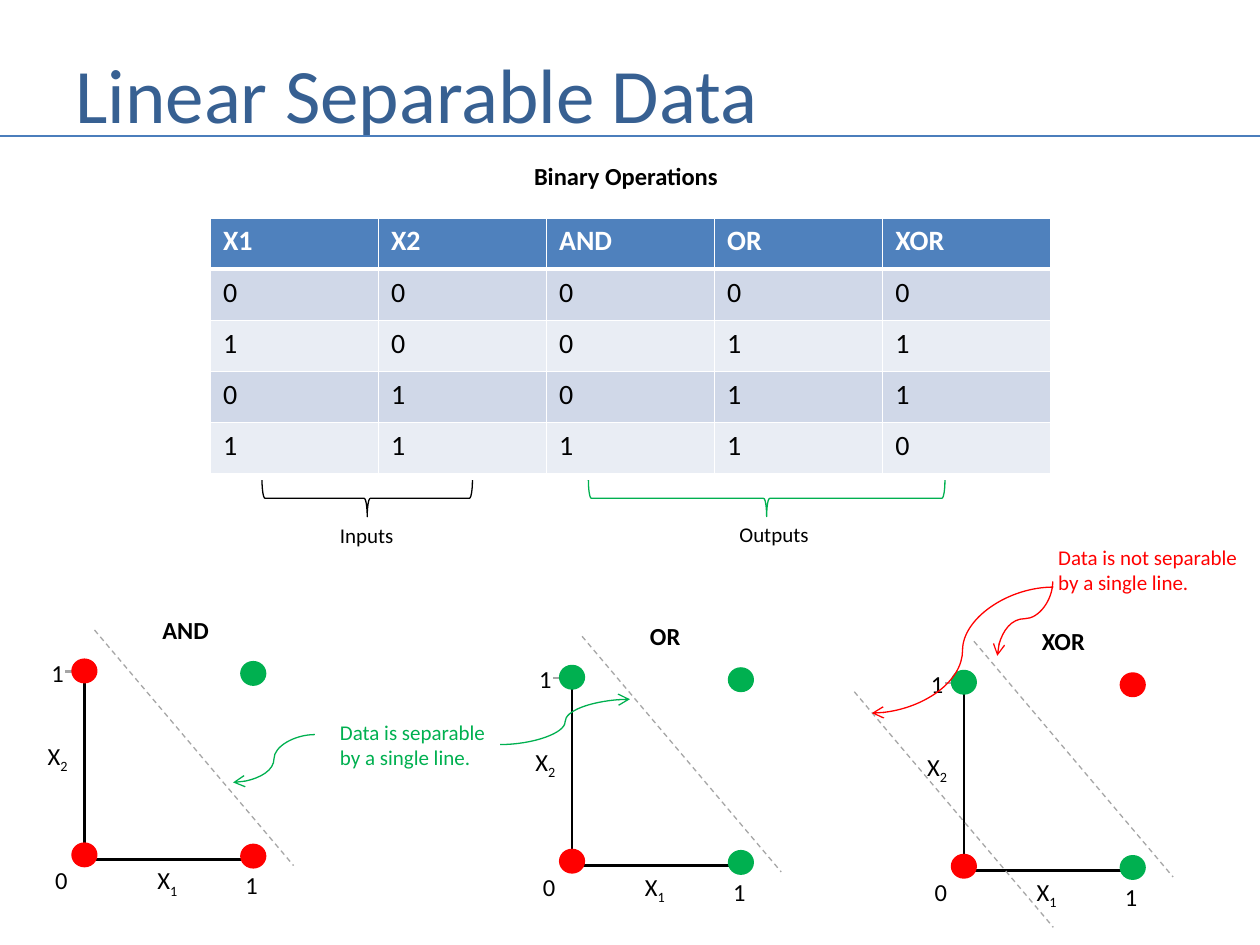
from dataclasses import dataclass

from lxml import etree
from pptx import Presentation
from pptx.dml.color import RGBColor
from pptx.enum.dml import MSO_LINE
from pptx.enum.shapes import MSO_CONNECTOR, MSO_SHAPE
from pptx.enum.text import MSO_ANCHOR, MSO_AUTO_SIZE
from pptx.oxml.ns import qn
from pptx.util import Inches, Pt

LINE, CURVE = MSO_CONNECTOR.STRAIGHT, MSO_CONNECTOR.CURVE
OVAL, BRACE = MSO_SHAPE.OVAL, MSO_SHAPE.LEFT_BRACE
DASH, MIDDLE = MSO_LINE.DASH, MSO_ANCHOR.MIDDLE
FIT = MSO_AUTO_SIZE.SHAPE_TO_FIT_TEXT


@dataclass(frozen=True)
class Theme:
    """Colours, font and type sizes."""
    font: str = "Calibri"
    title: str = "376092"
    rule: str = "4B7EBC"
    head: str = "4F81BD"
    bands: tuple = ("D0D8E8", "E9EDF4")
    black: str = "000000"
    white: str = "FFFFFF"
    gray: str = "A6A6A6"
    green: str = "00B050"
    red: str = "FF0000"
    big: int = 44
    cell: int = 16
    label: int = 14
    note: int = 12


@dataclass(frozen=True)
class Plot:
    """One plot: top of its y axis, and dots by row from top left."""
    name: str
    x: float
    y: float
    width: float
    dots: tuple
    cuts: tuple


@dataclass(frozen=True)
class Arrow:
    """A curved arrow, turned by an angle in degrees."""
    start: tuple
    end: tuple
    color: str
    turn: int = 0


T = Theme()
R, G = T.red, T.green
CUT = (0.08, -0.33, 1.66, 1.54)
LOW = (-0.87, 0.07, 0.71, 1.94)
PLOTS = (
    Plot("AND", 0.67, 5.33, 0.58, (R, G, R, R), (CUT,)),
    Plot("OR", 4.54, 5.38, 0.45, (G, G, R, G), (CUT,)),
    Plot("XOR", 7.65, 5.42, 0.55, (G, R, R, G), (CUT, LOW)),
)
SPOTS = ((-0.09, -0.09), (1.25, -0.07), (-0.09, 1.37), (1.25, 1.38))
MARKS = (
    ("X", "1", 0.48, 1.49, 0.37), ("X", "2", -0.39, 0.5, 0.37),
    ("0", "", -0.33, 1.49, 0.3), ("1", "", 1.18, 1.53, 0.3),
    ("1", "", -0.36, -0.16, 0.3),
)
AXES = ((0, 0, 0, 1.5, T.black), (1.33, 1.49, 0, 1.49, T.black),
        (1.34, 1.37, 1.34, 1.56, T.gray), (0.1, 0, -0.15, 0, T.gray))
ROWS = (("X1", "X2", "AND", "OR", "XOR"), "00000", "10011", "01011", "11110")
ARROWS = (
    Arrow((2.5, 5.83), (1.85, 6.21), G),
    Arrow((3.97, 5.91), (5, 5.55), G),
    Arrow((7.84, 4.69), (8.43, 5.13), R, 90),
    Arrow((8.36, 4.66), (6.92, 5.66), R),
)


def rgb(color: str) -> RGBColor:
    """Turn a hex string into a colour."""
    return RGBColor.from_string(color)


def add_run(para, text: str, size: int, color: str, bold=False, sub=False):
    """Add one styled run to a paragraph."""
    run = para.add_run()
    run.text = text
    font = run.font
    font.name, font.size, font.bold = T.font, Pt(size), bold
    font.color.rgb = rgb(color)
    if sub:
        font._element.set("baseline", "-25000")


def add_text(slide, box: tuple, lines: tuple, size: int, color=T.black,
             bold=False, sub="", wrap=False):
    """Add a text box; sub is a subscript after the last line."""
    frame = slide.shapes.add_textbox(*map(Inches, box)).text_frame
    frame.word_wrap = wrap
    if wrap:
        frame.vertical_anchor = MIDDLE
    else:
        frame.auto_size = FIT
    for i, line in enumerate(lines):
        para = frame.add_paragraph() if i else frame.paragraphs[0]
        add_run(para, line, size, color, bold)
    if sub:
        add_run(para, sub, size, color, bold, True)


def add_line(slide, start: tuple, end: tuple, color: str, width=1.5, kind=LINE):
    """Add a connector without a shadow."""
    line = slide.shapes.add_connector(kind, *map(Inches, start + end))
    line.line.color.rgb = rgb(color)
    line.line.width = Pt(width)
    etree.SubElement(line._element.spPr, qn("a:effectLst"))
    return line


def add_arrow(slide, arrow: Arrow):
    """Add a curved arrow."""
    curve = add_line(slide, arrow.start, arrow.end, arrow.color, 0.75, CURVE)
    tail = etree.SubElement(curve.line._get_or_add_ln(), qn("a:tailEnd"))
    tail.set("type", "arrow")
    if arrow.turn:
        frame = curve._element.spPr.find(qn("a:xfrm"))
        frame.set("rot", str(arrow.turn * 60000))


def add_form(slide, kind, box: tuple, color: str, width: float, solid=False):
    """Add a preset shape, filled or in outline."""
    form = slide.shapes.add_shape(kind, *map(Inches, box))
    form.shadow.inherit = False
    if solid:
        form.fill.solid()
        form.fill.fore_color.rgb = rgb(color)
    else:
        form.fill.background()
    form.line.color.rgb = rgb(color)
    form.line.width = Pt(width)
    return form


def edge_cell(cell, top: int, base: int):
    """Draw the white borders of a cell."""
    props = cell._tc.get_or_add_tcPr()
    for i, (side, width) in enumerate(zip("LRTB", (1, 1, top, base))):
        edge = etree.Element(qn(f"a:ln{side}"), w=str(Pt(width)))
        fill = etree.SubElement(edge, qn("a:solidFill"))
        etree.SubElement(fill, qn("a:srgbClr"), val=T.white)
        props.insert(i, edge)


def add_grid(slide):
    """Add the truth table."""
    box = map(Inches, (1.67, 1.73, 6.67, 2.03))
    grid = slide.shapes.add_table(len(ROWS), len(ROWS[0]), *box).table
    for r, row in enumerate(ROWS):
        head = r == 0
        for c, text in enumerate(row):
            cell = grid.cell(r, c)
            cell.fill.solid()
            cell.fill.fore_color.rgb = rgb(T.head if head else T.bands[(r - 1) % 2])
            edge_cell(cell, 3 if r == 1 else 1, 3 if head else 1)
            add_run(cell.text_frame.paragraphs[0], text, T.cell,
                    T.white if head else T.black, head)


def add_plot(slide, plot: Plot):
    """Add one plot with its axes, labels, dots and cut lines."""
    x, y = plot.x, plot.y
    for a, b, c, d, color in AXES:
        add_line(slide, (x + a, y + b), (x + c, y + d), color)
    for text, sub, dx, dy, width in MARKS:
        add_text(slide, (x + dx, y + dy, width, 0.34), (text,), T.label, sub=sub)
    add_text(slide, (x + 0.52, y - 0.5, plot.width, 0.34), (plot.name,),
             T.label, bold=True)
    for (dx, dy), color in zip(SPOTS, plot.dots):
        add_form(slide, OVAL, (x + dx, y + dy, 0.18, 0.17), color, 2, True)
    for a, b, c, d in plot.cuts:
        cut = add_line(slide, (x + a, y + b), (x + c, y + d), T.gray, 0.75)
        cut.line.dash_style = DASH


def main():
    """Build and save the slide."""
    deck = Presentation()
    deck.slide_width, deck.slide_height = Inches(10), Inches(7.5)
    slide = deck.slides.add_slide(deck.slide_layouts[6])
    add_text(slide, (0.5, 0.3, 9.08, 0.87), ("Linear Separable Data",),
             T.big, T.title, wrap=True)
    add_line(slide, (0, 1.08), (10, 1.08), T.rule)
    add_grid(slide)
    add_text(slide, (4.14, 1.23, 1.67, 0.34), ("Binary Operations",), T.label, bold=True)
    for box, color in (((2.77, 3.12, 0.29, 1.67), T.black),
                       ((5.94, 2.54, 0.29, 2.83), G)):
        add_form(slide, BRACE, box, color, 0.75).rotation = 270
    add_text(slide, (2.6, 4.1, 0.63, 0.3), ("Inputs",), T.note)
    add_text(slide, (5.77, 4.09, 0.76, 0.3), ("Outputs",), T.note)
    for plot in PLOTS:
        add_plot(slide, plot)
    for box, lead, color in (((2.6, 5.66, 1.37, 0.5), "Data is separable", G),
                             ((8.3, 4.27, 1.64, 0.5), "Data is not separable", R)):
        add_text(slide, box, (lead, "by a single line."), T.note, color)
    for arrow in ARROWS:
        add_arrow(slide, arrow)
    deck.save("out.pptx")


main()
